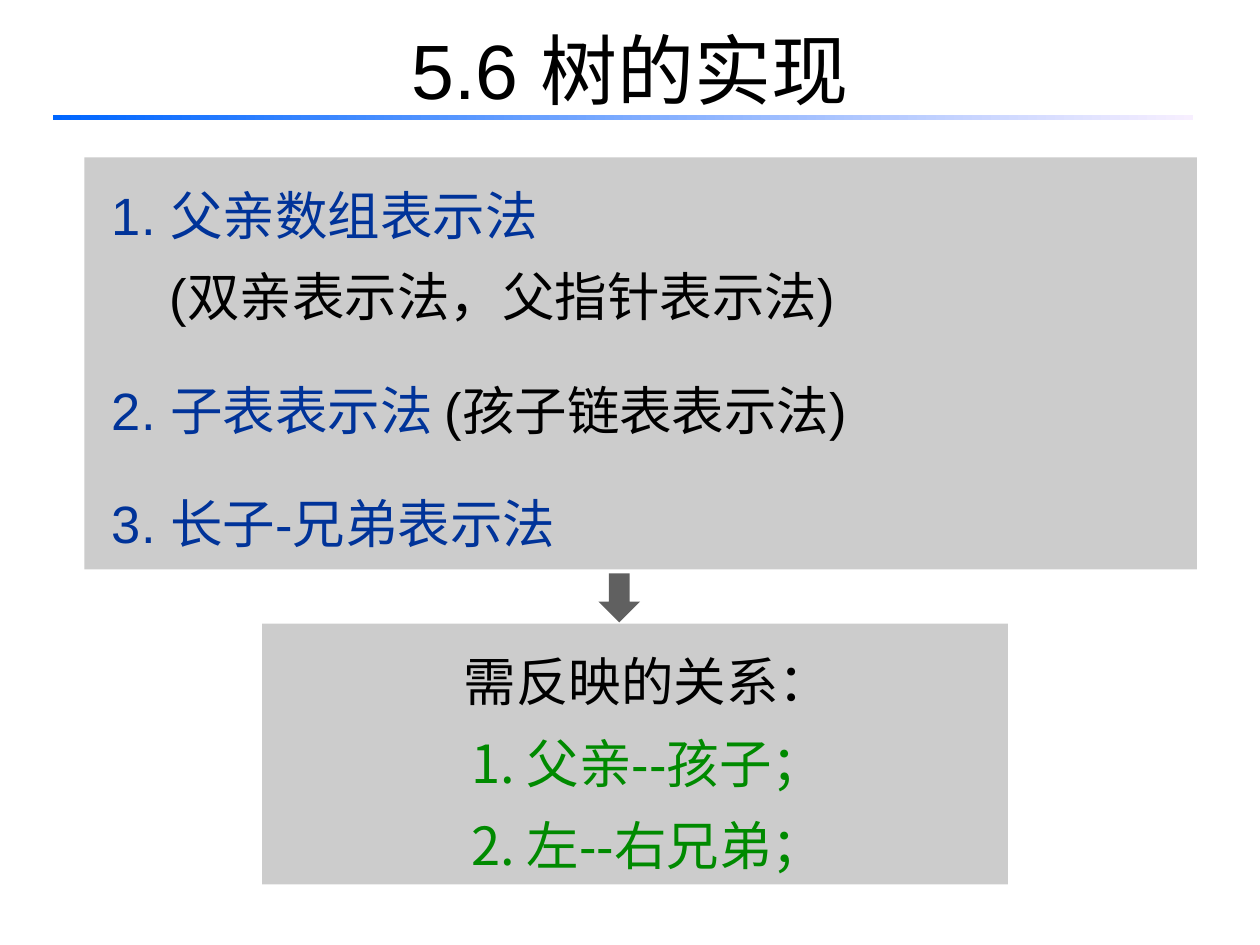
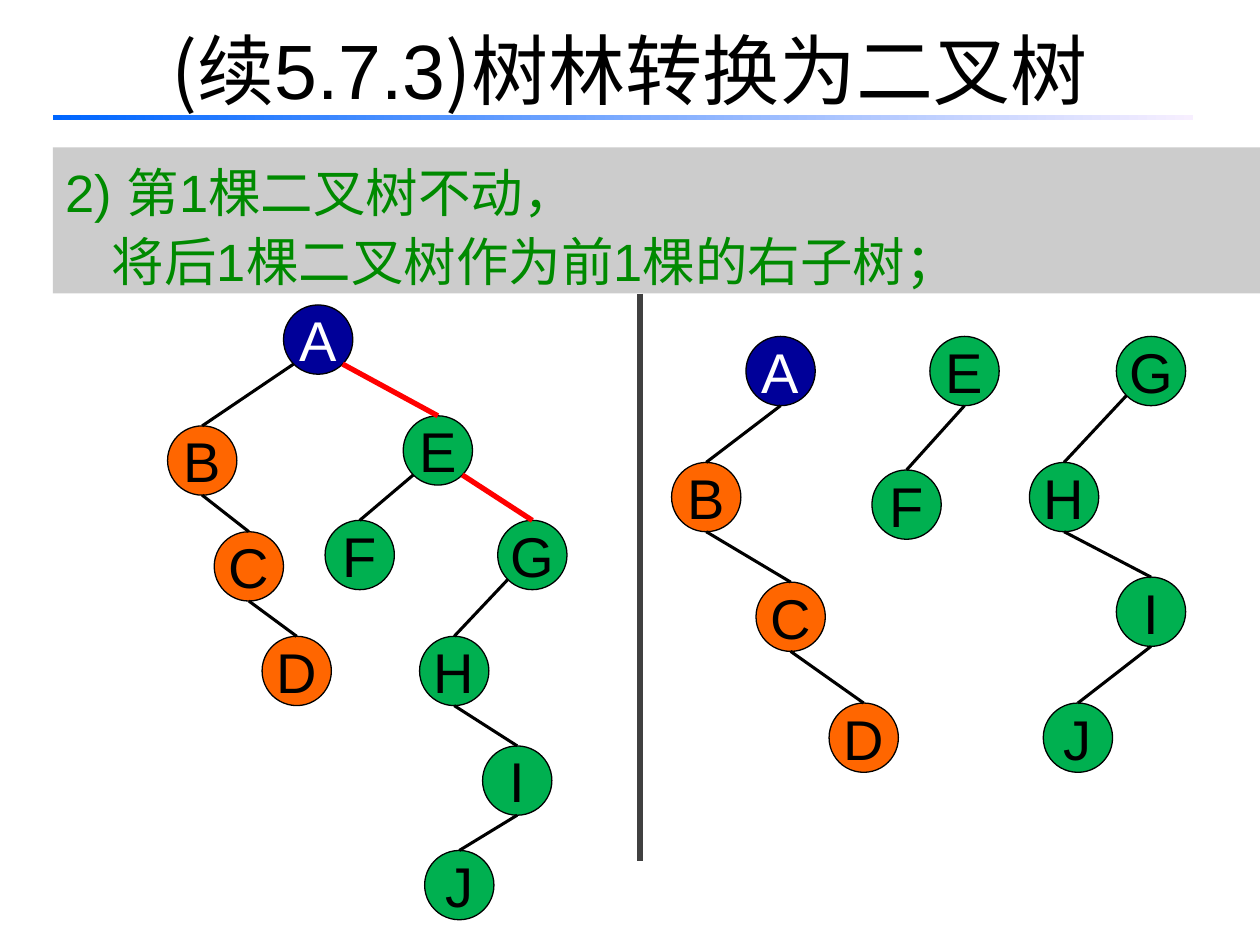
from collections.abc import Sequence
from dataclasses import dataclass
from enum import Enum
from math import sqrt
from typing import Any, NamedTuple

from lxml.etree import SubElement
from pptx import Presentation
from pptx.dml.color import RGBColor
from pptx.enum.shapes import MSO_CONNECTOR, MSO_SHAPE
from pptx.enum.text import MSO_ANCHOR, MSO_AUTO_SIZE, PP_ALIGN
from pptx.oxml.ns import qn
from pptx.shapes.autoshape import Shape
from pptx.slide import Slide
from pptx.text.text import TextFrame
from pptx.util import Inches, Pt

COLORS = {
    "black": "000000",
    "white": "FFFFFF",
    "panel": "CCCCCC",
    "heading": "003399",
    "green_text": "008A00",
    "arrow": "606060",
    "divider": "404040",
    "rule_start": "0066FF",
    "rule_end": "F7EFFF",
    "root": "000099",
    "first_tree": "FF6600",
    "later_trees": "00B050",
    "graft": "FF0000",
}
LATIN_FONT = "Arial"
CHINESE_FONT = "Noto Sans CJK SC"
TITLE_SIZE = 44
BODY_SIZE = 30
NODE_SIZE = 32
NODE_DIAMETER = 0.55


class Box(NamedTuple):
    left: float
    top: float
    width: float
    height: float


class Point(NamedTuple):
    x: float
    y: float


class Exit(Enum):
    LEFT = -1
    BELOW = 0
    RIGHT = 1


@dataclass(frozen=True)
class TextRun:
    text: str
    color: str = "black"
    font: str = LATIN_FONT


@dataclass(frozen=True)
class TextLine:
    runs: Sequence[TextRun]
    alignment: PP_ALIGN = PP_ALIGN.LEFT
    spacing: float = 1.0
    before: float = 0
    margin: float = 0
    numbered: bool = False


@dataclass(frozen=True)
class Edge:
    parent: str
    child: str
    exit: Exit = Exit.BELOW


@dataclass(frozen=True)
class Tree:
    nodes: dict[str, Point]
    edges: Sequence[Edge]


TITLE_BOX = Box(0.5, -0.08, 9, 1.25)
RULE_BOX = Box(0.42, 0.91, 9.05, 0.04)

METHODS_LINES = [
    TextLine([TextRun("1. 父亲数组表示法", "heading")], spacing=1.3, margin=0.12),
    TextLine([TextRun("(双亲表示法，父指针表示法)")], spacing=1.3, margin=0.58),
    TextLine(
        [TextRun("2. 子表表示法 ", "heading"), TextRun("(孩子链表表示法)")],
        spacing=1.3, before=18, margin=0.12,
    ),
    TextLine([TextRun("3. 长子-兄弟表示法", "heading")], spacing=1.3, before=18, margin=0.12),
]
RELATION_LINES = [
    TextLine([TextRun(text, color)], PP_ALIGN.CENTER, 1.3, margin=0.2, numbered=numbered)
    for text, color, numbered in (
        ("需反映的关系：", "black", False),
        (" 父亲--孩子；", "green_text", True),
        (" 左--右兄弟；", "green_text", True),
    )
]
STEP_LINES = [
    TextLine([TextRun(text, "green_text")], spacing=1.1, margin=margin)
    for text, margin in (
        ("2) 第1棵二叉树不动，", 0),
        ("将后1棵二叉树作为前1棵的右子树；", 0.37),
    )
]

SHARED_EDGES = [
    Edge("B", "C"), Edge("C", "D"), Edge("G", "H", Exit.LEFT),
    Edge("H", "I"), Edge("I", "J"),
]
FOREST = Tree(
    {
        "A": Point(5.92, 2.67), "B": Point(5.33, 3.67), "C": Point(6, 4.62),
        "D": Point(6.58, 5.58), "E": Point(7.38, 2.67), "F": Point(6.92, 3.73),
        "G": Point(8.86, 2.67), "H": Point(8.17, 3.67), "I": Point(8.86, 4.58),
        "J": Point(8.28, 5.58),
    },
    [Edge("A", "B"), Edge("E", "F"), *SHARED_EDGES],
)
MERGED_TREE = Tree(
    {
        "A": Point(2.25, 2.42), "B": Point(1.33, 3.38), "C": Point(1.7, 4.22),
        "D": Point(2.08, 5.05), "E": Point(3.2, 3.3), "F": Point(2.58, 4.13),
        "G": Point(3.95, 4.13), "H": Point(3.33, 5.05), "I": Point(3.83, 5.92),
        "J": Point(3.37, 6.75),
    },
    [
        Edge("A", "B", Exit.LEFT), Edge("E", "F", Exit.LEFT), *SHARED_EDGES,
        Edge("A", "E", Exit.RIGHT), Edge("E", "G", Exit.RIGHT),
    ],
)


def rgb(name: str) -> RGBColor:
    return RGBColor.from_string(COLORS[name])


def apply_format(target: Any, values: dict[str, Any]) -> None:
    for name, value in values.items():
        setattr(target, name, value)


def write_lines(frame: TextFrame, lines: Sequence[TextLine], size: float) -> None:
    for index, line in enumerate(lines):
        paragraph = frame.paragraphs[0] if index == 0 else frame.add_paragraph()
        apply_format(paragraph, {
            "alignment": line.alignment,
            "line_spacing": line.spacing,
            "space_before": Pt(line.before),
        })
        properties = paragraph._p.get_or_add_pPr()
        properties.set("marL", str(Inches(line.margin)))
        properties.set("indent", "0")
        if line.numbered:
            SubElement(properties, qn("a:buFont")).set("typeface", CHINESE_FONT)
            SubElement(properties, qn("a:buAutoNum")).set("type", "arabicPeriod")
        for text_run in line.runs:
            run = paragraph.add_run()
            run.text = text_run.text
            apply_format(run.font, {"size": Pt(size), "name": text_run.font})
            run.font.color.rgb = rgb(text_run.color)
            east_asian = SubElement(run._r.get_or_add_rPr(), qn("a:ea"))
            east_asian.set("typeface", CHINESE_FONT)


def add_block(slide: Slide, kind: MSO_SHAPE, box: Box, fill: str) -> Shape:
    shape = slide.shapes.add_shape(kind, *map(Inches, box))
    shape.shadow.inherit = False
    shape.fill.solid()
    shape.fill.fore_color.rgb = rgb(fill)
    shape.line.fill.background()
    return shape


def add_panel(slide: Slide, box: Box, lines: Sequence[TextLine]) -> None:
    panel = add_block(slide, MSO_SHAPE.RECTANGLE, box, "panel")
    apply_format(panel.text_frame, {
        "word_wrap": True,
        "vertical_anchor": MSO_ANCHOR.TOP,
        "auto_size": MSO_AUTO_SIZE.SHAPE_TO_FIT_TEXT,
    })
    write_lines(panel.text_frame, lines, BODY_SIZE)


def add_header(slide: Slide, runs: Sequence[TextRun]) -> None:
    title = slide.shapes.add_textbox(*map(Inches, TITLE_BOX))
    apply_format(title.text_frame, {"word_wrap": True, "vertical_anchor": MSO_ANCHOR.MIDDLE})
    write_lines(title.text_frame, [TextLine(runs, PP_ALIGN.CENTER)], TITLE_SIZE)
    rule = add_block(slide, MSO_SHAPE.RECTANGLE, RULE_BOX, "rule_start")
    rule.fill.gradient()
    rule.fill.gradient_angle = 0
    for stop, color in zip(rule.fill.gradient_stops, ("rule_start", "rule_end")):
        stop.color.rgb = rgb(color)


def add_line(slide: Slide, start: Point, end: Point, color: str, width: float) -> None:
    connector = slide.shapes.add_connector(
        MSO_CONNECTOR.STRAIGHT, *map(Inches, (*start, *end))
    )
    connector.line.color.rgb = rgb(color)
    connector.line.width = Pt(width)
    SubElement(connector._element.spPr, qn("a:effectLst"))


def node_fill(label: str) -> str:
    if label == "A":
        return "root"
    return "first_tree" if label in "BCD" else "later_trees"


def add_node(slide: Slide, label: str, corner: Point) -> None:
    box = Box(*corner, NODE_DIAMETER, NODE_DIAMETER)
    node = add_block(slide, MSO_SHAPE.OVAL, box, node_fill(label))
    node.line.color.rgb = rgb("black")
    node.line.width = Pt(0.75)
    apply_format(node.text_frame, {"word_wrap": False, "vertical_anchor": MSO_ANCHOR.MIDDLE})
    color = "white" if label == "A" else "black"
    write_lines(node.text_frame, [TextLine([TextRun(label, color)], PP_ALIGN.CENTER)], NODE_SIZE)


def exit_point(corner: Point, side: Exit) -> Point:
    radius = NODE_DIAMETER / 2
    drop = radius if side is Exit.BELOW else radius / sqrt(2)
    return Point(corner.x + radius + side.value * drop, corner.y + radius + drop)


def add_tree(slide: Slide, tree: Tree) -> None:
    for label, corner in tree.nodes.items():
        add_node(slide, label, corner)
    for edge in tree.edges:
        child = tree.nodes[edge.child]
        start = exit_point(tree.nodes[edge.parent], edge.exit)
        end = Point(child.x + NODE_DIAMETER / 2, child.y)
        color, width = ("graft", 3) if edge.exit is Exit.RIGHT else ("black", 1.75)
        add_line(slide, start, end, color, width)


def build_methods_slide(slide: Slide) -> None:
    add_header(slide, [TextRun("5.6 "), TextRun("树的实现", font=CHINESE_FONT)])
    add_panel(slide, Box(0.67, 1.25, 8.83, 3.27), METHODS_LINES)
    add_panel(slide, Box(2.08, 4.95, 5.92, 2.07), RELATION_LINES)
    add_block(slide, MSO_SHAPE.DOWN_ARROW, Box(4.75, 4.55, 0.33, 0.39), "arrow")


def build_conversion_slide(slide: Slide) -> None:
    add_header(slide, [
        TextRun("(续", font=CHINESE_FONT),
        TextRun("5.7.3"),
        TextRun(")树林转换为二叉树", font=CHINESE_FONT),
    ])
    add_tree(slide, FOREST)
    add_line(slide, Point(5.08, 2.33), Point(5.08, 6.83), "divider", 3)
    add_panel(slide, Box(0.42, 1.17, 9.58, 1.16), STEP_LINES)
    add_tree(slide, MERGED_TREE)


def main() -> None:
    presentation = Presentation()
    apply_format(presentation, {"slide_width": Inches(10), "slide_height": Inches(7.5)})
    for build_slide in (build_methods_slide, build_conversion_slide):
        build_slide(presentation.slides.add_slide(presentation.slide_layouts[6]))
    presentation.save("out.pptx")


if __name__ == "__main__":
    main()
